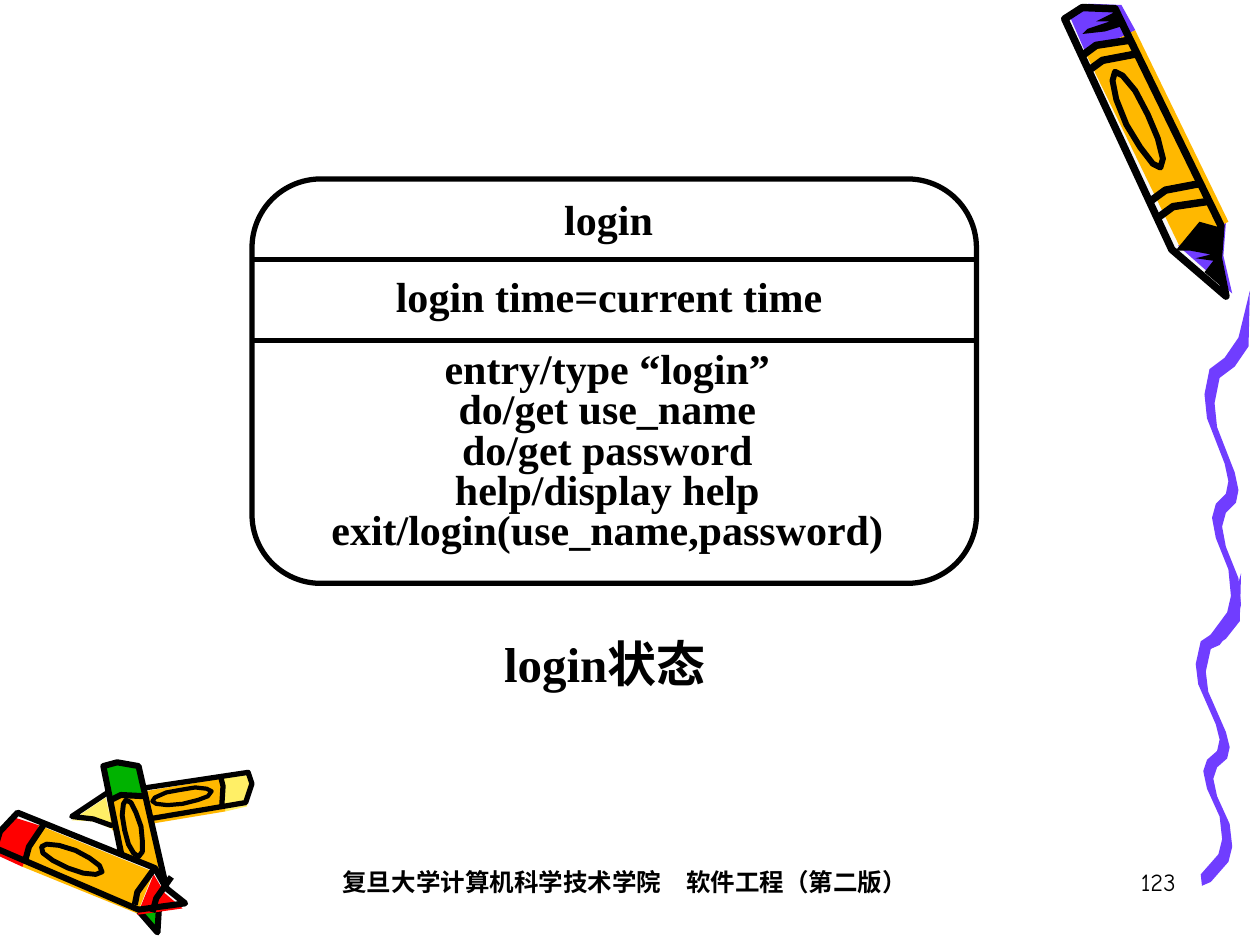
from dataclasses import dataclass
from math import cos, hypot, pi, sin

from pptx import Presentation
from pptx.dml.color import RGBColor
from pptx.enum.shapes import MSO_CONNECTOR, MSO_SHAPE
from pptx.enum.text import MSO_ANCHOR, PP_ALIGN
from pptx.oxml.ns import qn
from pptx.util import Emu, Pt

PX = 9144
THEME = {
    "ink": "000000", "paper": "F8F8F8", "purple": "703DFF", "orange": "FFB800",
    "yellow": "FFEF66", "red": "FF0000", "green": "00B200",
    "serif": "Times New Roman", "hand": "Comic Neue",
    "state": 24, "caption": 28, "footer": 14, "line": 3,
}


@dataclass
class Crayon:
    colour: str
    tail: tuple
    tip: tuple
    width: int
    bands: tuple
    paint_shift: int
    stroke: float
    shaded: bool = False

    def place(self, along, across):
        dx, dy = self.tip[0] - self.tail[0], self.tip[1] - self.tail[1]
        length = hypot(dx, dy)
        u, v = along / 100, across / 100 * self.width / length
        return round(self.tail[0] + u * dx + v * dy), round(self.tail[1] + u * dy - v * dx)


BIG_CRAYON = Crayon("purple", (865, 11), (973, 235), 45, (11, 16, 62, 68), 12, 4.25, True)
SMALL_CRAYONS = [
    Crayon("yellow", (196, 625), (57, 648), 27, (14,), 10, 3),
    Crayon("green", (96, 608), (125, 740), 31, (18,), 0, 3.5),
    Crayon("red", (5, 659), (147, 717), 37, (15, 76, 86), -12, 3.5),
]

SHOULDER = 79
TAIL_END = [(-2, -45), (-3, -7), (2, 45)]
NIB = [(SHOULDER, 45), (88, 16), (100, 0), (SHOULDER, -50)]
BAND = [(0, -45), (-1, -15), (2, 42)]
LABEL_CENTRE, LABEL_RADII, LABEL_CORNERS = (37, -5), (17, 21), 12
TAIL_SHADE = [(3, 40), (3, 5), (5, 25), (4, -16), (5, -27), (7, 10), (8, 40)]
NIB_SHADE = [(75, 15), (80, 45), (88, 14), (97, 0), (90, -15), (88, 8), (85, -20),
             (86, 8), (82, -20), (80, -45)]

SQUIGGLE_KNOTS = [(36, 0), (27, 32), (16, 46), (4, 54), (0, 72), (2, 88), (16, 120), (19, 132),
                  (17, 141), (9, 148), (6, 157), (9, 171), (19, 193), (21, 211), (18, 223),
                  (4, 239), (5, 248)]
SQUIGGLE_PEN = (8, 6)
SQUIGGLES = [(949, 455, 248), (956, 231, 284)]

STATE_BOX = (200, 142, 575, 321)
DIVIDERS = [206, 270]
STATE_TEXTS = [
    ((236, 153, 494, 48), "state", ["login"]),
    ((233, 216, 501, 45), "state", ["login time=current time"]),
    ((233, 273, 498, 173), "state", [
        "entry/type “login”",
        "do/get use_name",
        "do/get password",
        "help/display help",
        "exit/login(use_name,password)",
    ]),
    ((358, 494, 244, 73), "caption", ["login状态"]),
]
FOOTERS = [
    ((200, 683, 592, 50), "复旦大学计算机科学技术学院　软件工程（第二版）", PP_ALIGN.CENTER, True),
    ((735, 683, 208, 50), "123", PP_ALIGN.RIGHT, False),
]


def px(*lengths):
    return [Emu(n * PX) for n in lengths]


def colour(name):
    return RGBColor.from_string(THEME[name])


def set_ink_line(shape, points):
    shape.line.color.rgb = colour("ink")
    shape.line.width = Pt(points)


def add_outline(shapes, points, fill=None, stroke=None, close=True):
    builder = shapes.build_freeform(*points[0], scale=PX)
    builder.add_line_segments(points[1:], close=close)
    sp = builder.convert_to_shape()
    sp.shadow.inherit = False
    if fill:
        sp.fill.solid()
        sp.fill.fore_color.rgb = colour(fill)
    else:
        sp.fill.background()
    if stroke:
        set_ink_line(sp, stroke)
    else:
        sp.line.fill.background()


def add_crayon(shapes, crayon):
    group = shapes.add_group_shape().shapes

    def draw(points, shift=0, **style):
        add_outline(group, [crayon.place(u, v + shift) for u, v in points], **style)

    cap_end = crayon.bands[0]
    body = [(cap_end, -48), (cap_end, 48), (SHOULDER, 48), (SHOULDER, -48)]
    draw(TAIL_END + NIB, fill="paper")
    for part, fill in ((TAIL_END + body[1::-1], crayon.colour), (NIB, crayon.colour),
                       (body, "orange")):
        draw(part, crayon.paint_shift, fill=fill)

    draw(TAIL_END + NIB, stroke=crayon.stroke)
    for start in crayon.bands:
        draw([(start + u, v) for u, v in BAND], stroke=crayon.stroke, close=False)
    angles = [2 * pi * i / LABEL_CORNERS for i in range(LABEL_CORNERS)]
    draw([(LABEL_CENTRE[0] + LABEL_RADII[0] * cos(a), LABEL_CENTRE[1] + LABEL_RADII[1] * sin(a))
          for a in angles], stroke=crayon.stroke * 0.8)
    if crayon.shaded:
        for shade in (TAIL_SHADE, NIB_SHADE):
            draw(shade, fill="ink")


def add_squiggle(shapes, left, top, height):
    stretch = height / SQUIGGLE_KNOTS[-1][1]
    pen_x, pen_y = SQUIGGLE_PEN
    far_edge = [(x + pen_x, y + pen_y) for x, y in SQUIGGLE_KNOTS[-2:0:-1]]
    ribbon = [(left + x, round(top + y * stretch)) for x, y in SQUIGGLE_KNOTS + far_edge]
    add_outline(shapes, ribbon, fill="purple")


def add_divider(shapes, y):
    left, _, width, _ = STATE_BOX
    line = shapes.add_connector(MSO_CONNECTOR.STRAIGHT, *px(left, y, left + width, y))
    set_ink_line(line, THEME["line"])
    sp_pr = line._element.spPr
    sp_pr.append(sp_pr.makeelement(qn("a:effectLst"), {}))


def add_text(shapes, box, lines, size, font, align=PP_ALIGN.CENTER, bold=True,
             anchor=MSO_ANCHOR.TOP, spacing=None):
    tf = shapes.add_textbox(*px(*box)).text_frame
    tf.word_wrap = True
    tf.vertical_anchor = anchor
    for i, text in enumerate(lines):
        p = tf.add_paragraph() if i else tf.paragraphs[0]
        p.alignment = align
        p.line_spacing = spacing
        r = p.add_run()
        r.text = text
        r.font.name = THEME[font]
        r.font.size = Pt(THEME[size])
        r.font.bold = bold
        r.font.color.rgb = colour("ink")


prs = Presentation()
prs.slide_width, prs.slide_height = px(1000, 750)
s = prs.slides.add_slide(prs.slide_layouts[6])

for crayon in SMALL_CRAYONS + [BIG_CRAYON]:
    add_crayon(s.shapes, crayon)
for squiggle in SQUIGGLES:
    add_squiggle(s.shapes, *squiggle)

state = s.shapes.add_shape(MSO_SHAPE.ROUNDED_RECTANGLE, *px(*STATE_BOX))
state.adjustments[0] = 0.17
state.shadow.inherit = False
state.fill.background()
set_ink_line(state, THEME["line"])

for y in DIVIDERS:
    add_divider(s.shapes, y)
for box, size, lines in STATE_TEXTS:
    add_text(s.shapes, box, lines, size, "serif", anchor=MSO_ANCHOR.MIDDLE, spacing=0.8)
for box, text, align, bold in FOOTERS:
    add_text(s.shapes, box, [text], "footer", "hand", align, bold)

prs.save("out.pptx")
